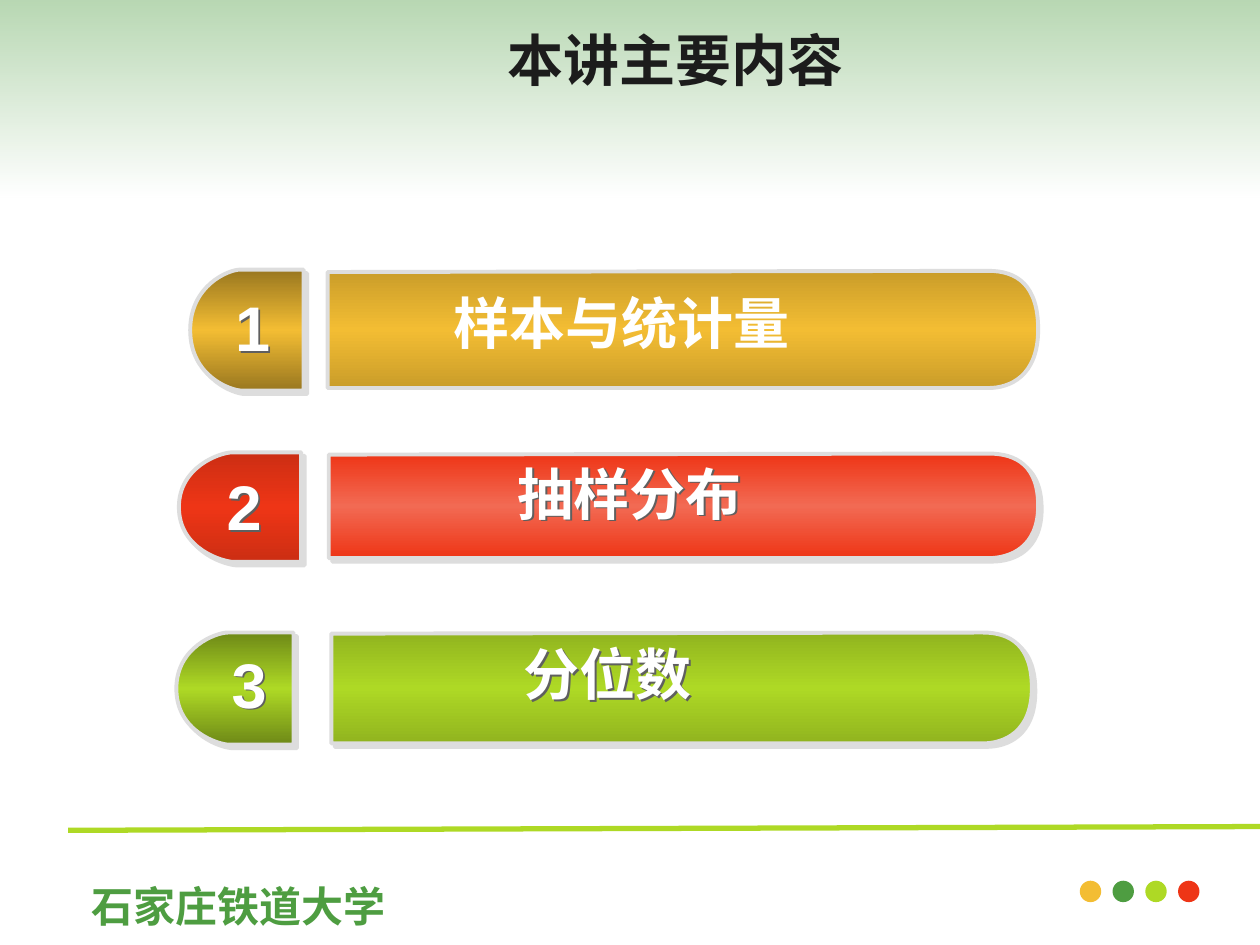
"""Build the lecture outline slide with three numbered bars."""
from pptx import Presentation
from pptx.dml.color import RGBColor
from pptx.enum.shapes import MSO_CONNECTOR, MSO_SHAPE
from pptx.enum.text import MSO_ANCHOR, PP_ALIGN
from pptx.oxml import parse_xml
from pptx.oxml.ns import nsdecls, qn
from pptx.util import Inches, Pt

TITLE = ("本讲主要内容", (0.36, 0, 10, 0.94), 32, "1C1C1C")
FOOTER = ("石家庄铁道大学", (0.6, 6.95, 2.58, 0.48), 24, "4E9D41")
DOT_COLORS = ["F3BD33", "4E9D41", "AED925", "EE3516"]
ITEMS = [
    {
        "number": ("1", (1.65, 2.24, 0.71, 0.7)),
        "cap": (1.51, 2.14, 0.9, 0.96),
        "cap_colors": ("997720", "F3BD33", "997720"),
        "label": ("样本与统计量", (2.97, 2.24, 3.92, 0.64)),
        "bar": (2.6, 2.15, 5.64, 0.93),
        "bar_colors": ("CA9D2A", "F3BD33", "CA9D2A"),
        "raised": False,
    },
    {
        "number": ("2", (1.7, 3.66, 0.4, 0.7)),
        "cap": (1.42, 3.59, 0.97, 0.87),
        "cap_colors": ("CC2E13", "EE3516", "CC2E13"),
        "label": ("抽样分布", (2.62, 3.59, 4.75, 0.64)),
        "bar": (2.61, 3.6, 5.63, 0.83),
        "bar_colors": ("EE3516", "F26A53", "EE3516"),
        "raised": True,
    },
    {
        "number": ("3", (1.74, 5.07, 0.4, 0.7)),
        "cap": (1.4, 5.02, 0.93, 0.89),
        "cap_colors": ("6E8917", "AED925", "6E8917"),
        "label": ("分位数", (2.45, 5.02, 4.75, 0.64)),
        "bar": (2.63, 5.02, 5.56, 0.88),
        "bar_colors": ("91B41F", "AED925", "91B41F"),
        "raised": True,
    },
]
CAP_OUTLINE = [
    [(1, 0)], [(1, 0.5), (1, 1), (1, 1)], [(0.45, 1)],
    [(0.37, 1), (0, 0.89), (0, 0.5)],
    [(0, 0.13), (0.34, 0), (0.44, 0)], [(1, 0)],
]
BAR_OUTLINE = [
    [(0, 0.01)], [(0, 1)], [(0.03, 1), (0.91, 1), (0.93, 1)],
    [(0.96, 1), (1, 0.9), (1, 0.5)],
    [(1, 0.12), (0.97, 0), (0.93, 0)],
    [(0.9, 0), (0.03, 0.01), (0, 0.01)],
]


def color(value):
    return RGBColor.from_string(value)


def add_shadow(shape, value, distance):
    shape.shadow.inherit = False
    shape._element.spPr.find(qn("a:effectLst")).append(parse_xml(
        f'<a:outerShdw {nsdecls("a")} blurRad="0" dist="{Pt(distance)}" dir="2700000" '
        f'algn="ctr" rotWithShape="0"><a:srgbClr val="{value}"/></a:outerShdw>'
    ))


def fill_gradient(shape, colors, alpha=100):
    shape.fill.gradient()
    shape.fill.gradient_angle = 270
    stops = shape._element.spPr.find(".//" + qn("a:gsLst"))
    for stop in list(stops):
        stops.remove(stop)
    for index, value in enumerate(colors):
        position = 100000 * index // (len(colors) - 1)
        stops.append(parse_xml(
            f'<a:gs {nsdecls("a")} pos="{position}"><a:srgbClr val="{value}">'
            f'<a:alpha val="{alpha * 1000}"/></a:srgbClr></a:gs>'
        ))


def bend_segments(shape, outline):
    lines = iter(list(shape._element.spPr.iter(qn("a:lnTo"))))
    for segment in outline[1:]:
        group = [next(lines) for _ in segment]
        if len(group) == 3:
            curve = parse_xml(f'<a:cubicBezTo {nsdecls("a")}/>')
            group[0].addprevious(curve)
            for line in group:
                curve.append(line[0])
                line.getparent().remove(line)


def add_outline(slide, outline, box, colors, raised):
    left, top, width, height = box
    points = [
        (Inches(left + x * width), Inches(top + y * height))
        for segment in outline for x, y in segment
    ]
    builder = slide.shapes.build_freeform(*points[0])
    builder.add_line_segments(points[1:], close=True)
    shape = builder.convert_to_shape()
    bend_segments(shape, outline)
    shape.shadow.inherit = False
    fill_gradient(shape, colors)
    shape.line.color.rgb = color("DDDDDD")
    shape.line.width = Pt(2.25)
    if raised:
        add_shadow(shape, "DDDDDD", 2.8)


def add_text(slide, text, box, size, text_color, wrap=True, raised=False):
    shape = slide.shapes.add_textbox(*map(Inches, box))
    frame = shape.text_frame
    frame.word_wrap = wrap
    frame.vertical_anchor = MSO_ANCHOR.MIDDLE
    paragraph = frame.paragraphs[0]
    paragraph.alignment = PP_ALIGN.CENTER
    run = paragraph.add_run()
    run.text = text
    for name, value in {"name": "Arial", "size": Pt(size), "bold": True}.items():
        setattr(run.font, name, value)
    run.font.color.rgb = color(text_color)
    run._r.get_or_add_rPr().find(qn("a:latin")).addnext(
        parse_xml(f'<a:ea {nsdecls("a")} typeface="Noto Sans CJK SC"/>'))
    if raised:
        add_shadow(shape, "5F5F5F", 1.5)


def add_plain_shape(slide, kind, box):
    shape = slide.shapes.add_shape(kind, *map(Inches, box))
    shape.shadow.inherit = False
    shape.line.fill.background()
    return shape


def add_frame(slide):
    band = add_plain_shape(slide, MSO_SHAPE.RECTANGLE, (0, 0, 10, 1.57))
    fill_gradient(band, ("4E9D41", "FFFFFF"), alpha=40)
    for index, value in enumerate(DOT_COLORS):
        dot = add_plain_shape(slide, MSO_SHAPE.OVAL, (8.57 + 0.26 * index, 6.99, 0.17, 0.17))
        dot.fill.solid()
        dot.fill.fore_color.rgb = color(value)
    add_text(slide, *FOOTER)
    rule = slide.shapes.add_connector(
        MSO_CONNECTOR.STRAIGHT, *map(Inches, (0.54, 6.59, 10, 6.56)))
    rule.line.color.rgb = color("AED925")
    rule.line.width = Pt(3)
    rule._element.spPr.append(parse_xml(f'<a:effectLst {nsdecls("a")}/>'))
    add_text(slide, *TITLE)


def main():
    presentation = Presentation()
    presentation.slide_width, presentation.slide_height = Inches(10), Inches(7.5)
    slide = presentation.slides.add_slide(presentation.slide_layouts[6])
    add_frame(slide)
    for item in ITEMS:
        add_outline(slide, CAP_OUTLINE, item["cap"], item["cap_colors"], True)
        add_text(slide, *item["number"], 36, "FFFFFF", wrap=False, raised=True)
        add_outline(slide, BAR_OUTLINE, item["bar"], item["bar_colors"], item["raised"])
        add_text(slide, *item["label"], 32, "FFFFFF", raised=item["raised"])
    presentation.save("out.pptx")


if __name__ == "__main__":
    main()
